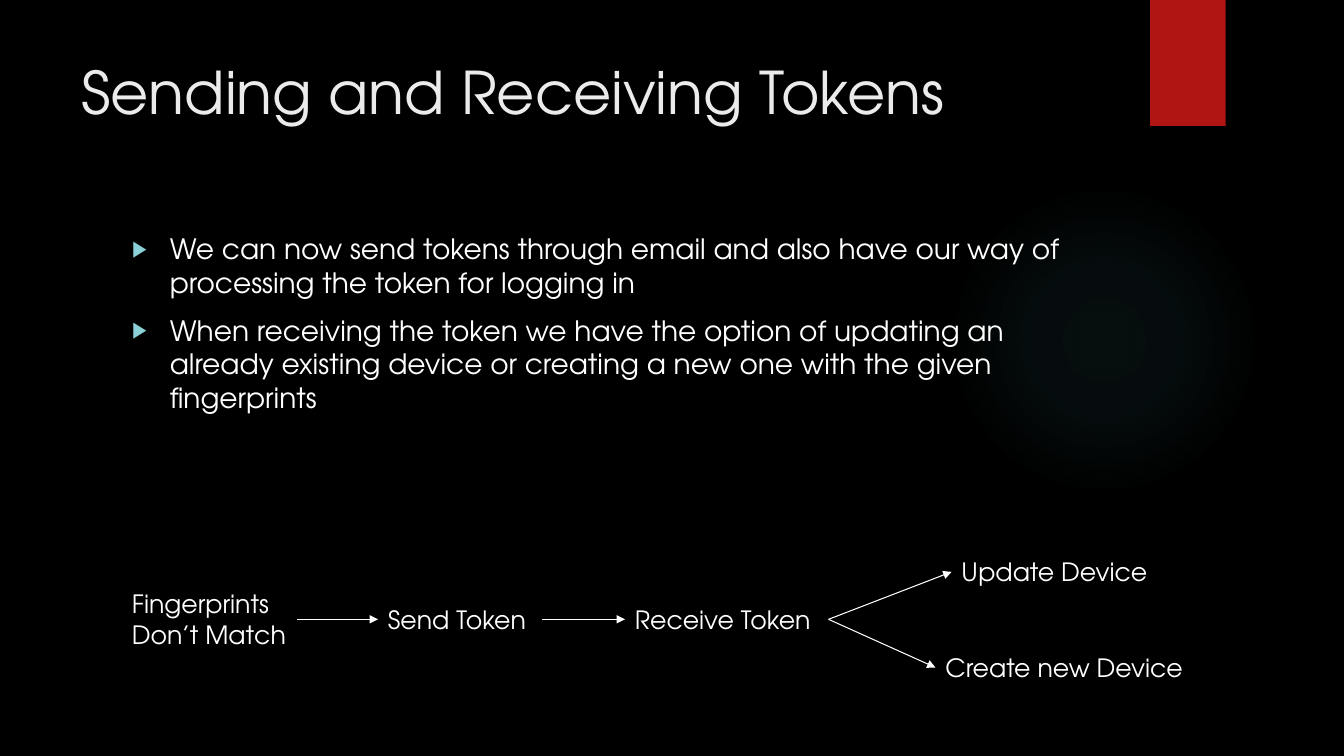
from dataclasses import dataclass

from lxml import etree
from pptx import Presentation
from pptx.dml.color import RGBColor
from pptx.enum.shapes import MSO_CONNECTOR, MSO_SHAPE
from pptx.enum.text import MSO_ANCHOR, MSO_AUTO_SIZE, PP_ALIGN
from pptx.oxml import parse_xml
from pptx.oxml.ns import nsdecls, qn
from pptx.util import Pt

STRAIGHT = MSO_CONNECTOR.STRAIGHT
OVAL, RECTANGLE = MSO_SHAPE.OVAL, MSO_SHAPE.RECTANGLE
TOP, MIDDLE = MSO_ANCHOR.TOP, MSO_ANCHOR.MIDDLE
NO_FIT, GROW = MSO_AUTO_SIZE.NONE, MSO_AUTO_SIZE.SHAPE_TO_FIT_TEXT
LEFT = PP_ALIGN.LEFT
LEFT_SIDE, RIGHT_SIDE = 1, 3


@dataclass(frozen=True)
class Theme:
    font: str = "TeX Gyre Adventor"
    background: str = "000000"
    glow: str = "50B9C1"
    ribbon: str = "B01513"
    title: str = "EBEBEB"
    text: str = "FFFFFF"
    bullet: str = "8AD0D6"
    title_size: int = 42
    body_size: int = 20
    step_size: int = 18


THEME = Theme()


def place(shape, left, top, width, height):
    shape.left, shape.top = Pt(left), Pt(top)
    shape.width, shape.height = Pt(width), Pt(height)


def format_text(frame, size, color):
    for para in frame.paragraphs:
        para.alignment = LEFT
        for span in para.runs:
            span.font.name = THEME.font
            span.font.size = Pt(size)
            span.font.color.rgb = RGBColor.from_string(color)


deck = Presentation()
deck.slide_width, deck.slide_height = Pt(960), Pt(540)
page = deck.slides.add_slide(deck.slide_layouts[1])
page.background.fill.solid()
page.background.fill.fore_color.rgb = RGBColor.from_string(THEME.background)

title = page.shapes.title
body = page.placeholders[1]

glow = page.shapes.add_shape(OVAL, Pt(677.5), Pt(131.8), Pt(221.8), Pt(221.8))
glow.shadow.inherit = False
glow.line.fill.background()
stops = "".join(
    f'<a:gs pos="{position * 1000}"><a:srgbClr val="{THEME.glow}">'
    f'<a:alpha val="{opacity * 1000}"/></a:srgbClr></a:gs>'
    for position, opacity in ((0, 7), (36, 6), (69, 0))
)
gradient = parse_xml(
    f'<a:gradFill {nsdecls("a")} rotWithShape="1"><a:gsLst>{stops}</a:gsLst>'
    '<a:path path="circle"><a:fillToRect l="50000" t="50000" r="50000" b="50000"/>'
    "</a:path></a:gradFill>"
)
glow.element.spPr.find(qn("a:prstGeom")).addnext(gradient)

ribbon = page.shapes.add_shape(RECTANGLE, Pt(821.5), Pt(0), Pt(54), Pt(90))
ribbon.shadow.inherit = False
ribbon.fill.solid()
ribbon.fill.fore_color.rgb = RGBColor.from_string(THEME.ribbon)
ribbon.line.fill.background()

tree = page.shapes.element
for holder in (title, body):
    tree.append(holder.element)
    holder.text_frame.vertical_anchor = TOP

place(title, 51, 36, 741, 110)
title.text_frame.text = "Sending and Receiving Tokens"
title.text_frame.auto_size = NO_FIT
format_text(title.text_frame, THEME.title_size, THEME.title)

place(body, 87.1, 162, 704.2, 330.5)
body.text_frame.text = "\n".join((
    "We can now send tokens through email and also have our way of "
    "processing the token for logging in",
    "When receiving the token we have the option of updating an already "
    "existing device or creating a new one with the given fingerprints",
))
body.text_frame.auto_size = NO_FIT
format_text(body.text_frame, THEME.body_size, THEME.text)
for para in body.text_frame.paragraphs:
    para.space_before = Pt(10)
    properties = para._p.get_or_add_pPr()
    properties.set("marL", str(Pt(27)))
    properties.set("indent", str(-Pt(27)))
    bullet_color = etree.SubElement(properties, qn("a:buClr"))
    etree.SubElement(bullet_color, qn("a:srgbClr"), val=THEME.bullet)
    etree.SubElement(properties, qn("a:buSzPct"), val="80000")
    etree.SubElement(properties, qn("a:buChar"), char="▶")

STEPS = (
    ("Fingerprints Don’t Match", 87.1, 442.4, 125.2, 51, True),
    ("Send Token", 270, 442.4, 117.4, 29, True),
    ("Receive Token", 446.4, 442.4, 145.4, 29, True),
    ("Update Device", 679.7, 408.5, 149.8, 29, False),
    ("Create new Device", 668.2, 476.8, 187.9, 29, False),
)
steps = []
for label, left, center, width, height, wraps in STEPS:
    box = page.shapes.add_textbox(
        Pt(left), Pt(center - height / 2), Pt(width), Pt(height))
    frame = box.text_frame
    frame.text = label
    frame.word_wrap = wraps
    frame.auto_size = GROW
    format_text(frame, THEME.step_size, THEME.text)
    steps.append(box)

fingerprints, send, receive, update, create = steps
for source, target in (
    (fingerprints, send), (send, receive), (receive, update), (receive, create),
):
    arrow = page.shapes.add_connector(STRAIGHT, 0, 0, 0, 0)
    arrow.begin_connect(source, RIGHT_SIDE)
    arrow.end_connect(target, LEFT_SIDE)
    arrow.line.width = Pt(0.75)
    arrow.line.color.rgb = RGBColor.from_string(THEME.text)
    etree.SubElement(arrow.line._get_or_add_ln(), qn("a:tailEnd"), type="triangle")
    etree.SubElement(arrow.element.spPr, qn("a:effectLst"))

deck.save("out.pptx")
